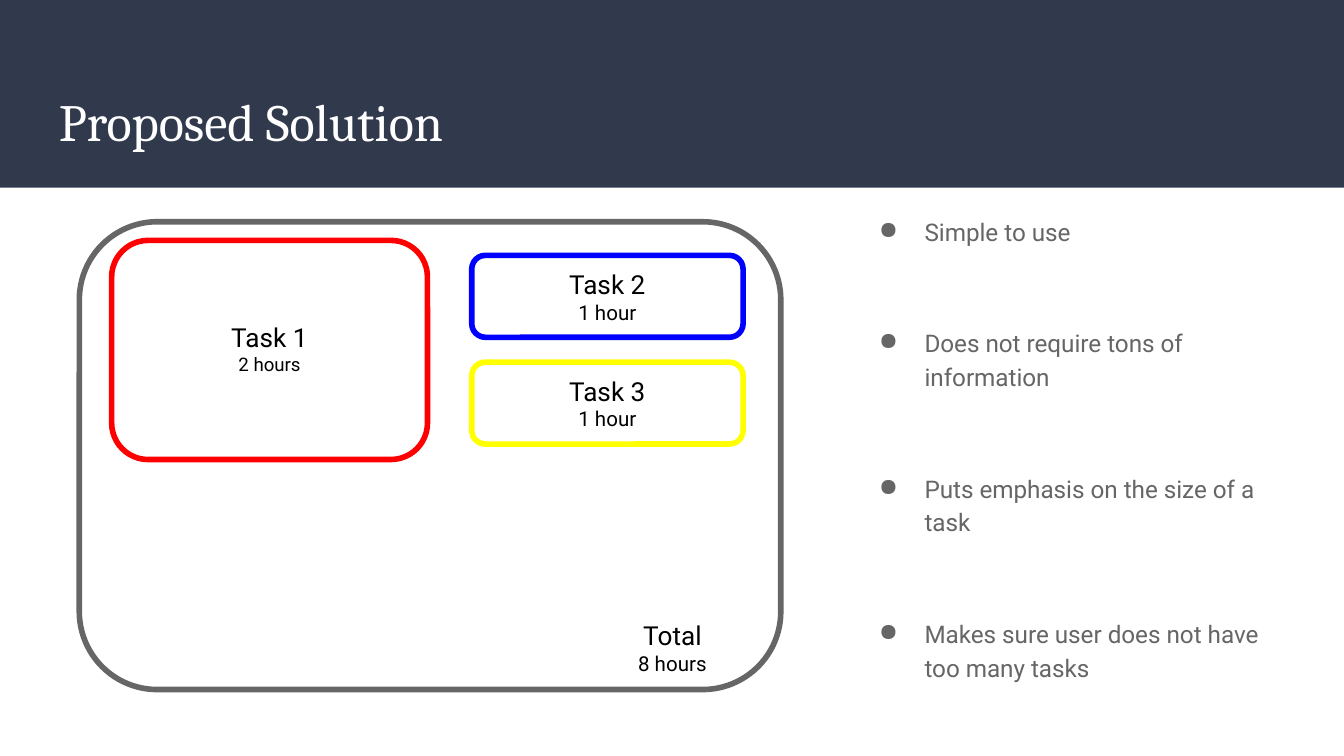
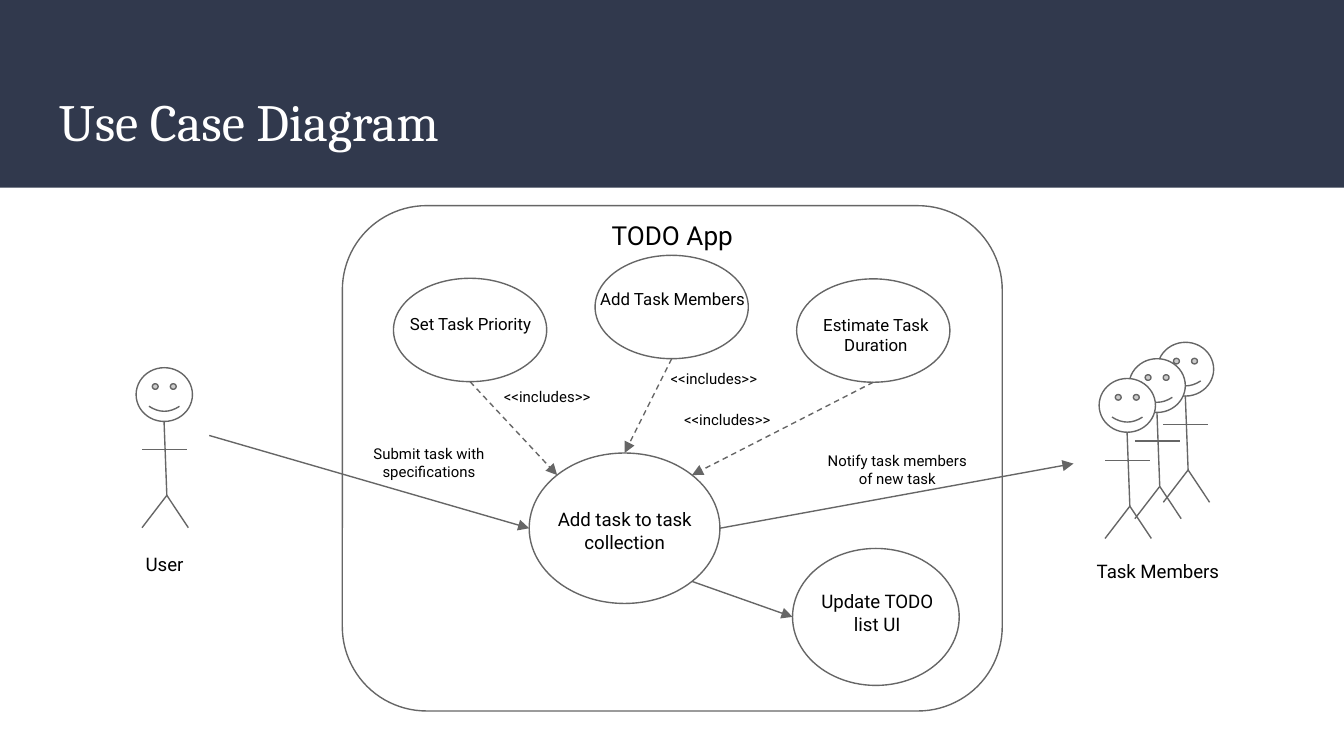
from math import cos, radians, sin

from lxml.etree import SubElement
from pptx import Presentation
from pptx.dml.color import RGBColor
from pptx.enum.dml import MSO_LINE
from pptx.enum.shapes import MSO_CONNECTOR, MSO_SHAPE
from pptx.enum.text import MSO_ANCHOR, PP_ALIGN
from pptx.oxml.ns import qn
from pptx.util import Pt

SLIDE_WIDTH, SLIDE_HEIGHT = 720, 405
NAVY, WHITE, BLACK, GREY = "31394D", "FFFFFF", "000000", "666666"
RED, BLUE, YELLOW = "FF0000", "0000FF", "FFFF00"
TITLE_FONT, BODY_FONT = "Cambria", "Roboto"
INSET = 7.2
FIGURE_LINE = 0.75


def rgb(value):
    return RGBColor.from_string(value)


def add_outline(slide, kind, left, top, width, height, fill=None, line=None, line_width=FIGURE_LINE):
    shape = slide.shapes.add_shape(kind, Pt(left), Pt(top), Pt(width), Pt(height))
    shape.shadow.inherit = False
    if fill:
        shape.fill.solid()
        shape.fill.fore_color.rgb = rgb(fill)
    else:
        shape.fill.background()
    if line:
        shape.line.color.rgb = rgb(line)
        shape.line.width = Pt(line_width)
    else:
        shape.line.fill.background()
    return shape


def add_text(slide, left, top, width, height, lines, color=BLACK, font=BODY_FONT,
             align=PP_ALIGN.CENTER, anchor=MSO_ANCHOR.TOP):
    shape = slide.shapes.add_textbox(Pt(left), Pt(top), Pt(width), Pt(height))
    text_frame = shape.text_frame
    text_frame.word_wrap = True
    text_frame.vertical_anchor = anchor
    text_frame.margin_left = text_frame.margin_right = Pt(INSET)
    text_frame.margin_top = text_frame.margin_bottom = Pt(INSET)
    text_frame.text = "\n".join(text for text, size in lines)
    for paragraph, (text, size) in zip(text_frame.paragraphs, lines):
        paragraph.alignment = align
        for run in paragraph.runs:
            run.font.name = font
            run.font.size = Pt(size)
            run.font.color.rgb = rgb(color)
    return text_frame


def add_line(slide, start, end, arrow=False, dashed=False):
    connector = slide.shapes.add_connector(
        MSO_CONNECTOR.STRAIGHT, *(Pt(value) for value in (*start, *end)))
    connector.line.color.rgb = rgb(GREY)
    connector.line.width = Pt(FIGURE_LINE)
    if dashed:
        connector.line.dash_style = MSO_LINE.DASH
    properties = connector.element.spPr
    if arrow:
        SubElement(properties.find(qn("a:ln")), qn("a:tailEnd"), type="triangle")
    SubElement(properties, qn("a:effectLst"))


def add_titled_slide(presentation, title):
    slide = presentation.slides.add_slide(presentation.slide_layouts[6])
    add_outline(slide, MSO_SHAPE.RECTANGLE, 0, 0, SLIDE_WIDTH, 100.5, NAVY)
    add_text(slide, 24.5, 39.6, 671, 49, [(title, 28)], WHITE, TITLE_FONT,
             PP_ALIGN.LEFT, MSO_ANCHOR.BOTTOM)
    return slide


def add_task(slide, left, top, width, height, name, duration, duration_size, color):
    add_outline(slide, MSO_SHAPE.ROUNDED_RECTANGLE, left, top, width, height, WHITE, color, 3)
    caption_width, caption_height = 80, 44.6
    add_text(slide, left + (width - caption_width) / 2, top + (height - caption_height) / 2,
             caption_width, caption_height, [(name, 14), (duration, duration_size)])


def add_task_board(slide, left, top, width, height):
    add_outline(slide, MSO_SHAPE.ROUNDED_RECTANGLE, left, top, width, height, WHITE, GREY, 3)
    add_task(slide, left + 17.3, top + 10, 169.2, 117.4, "Task 1", "2 hours", 10, RED)
    for row, (name, color) in enumerate([("Task 2", BLUE), ("Task 3", YELLOW)]):
        add_task(slide, left + 210.2, top + 18 + row * 57.2, 145.4, 43.9,
                 name, "1 hour", 11, color)
    add_text(slide, left + width - 98, top + height - 44.6, 80, 44.6,
             [("Total", 14), ("8 hours", 11)])


def add_benefits(slide, left, top, width, height, benefits):
    text_frame = add_text(slide, left, top, width, height, [(text, 13) for text in benefits],
                          GREY, align=PP_ALIGN.LEFT)
    for index, paragraph in enumerate(text_frame.paragraphs):
        paragraph.line_spacing = 1.15
        paragraph.space_before = Pt(42 if index else 0)
        properties = paragraph._p.get_or_add_pPr()
        properties.set("marL", str(Pt(36)))
        properties.set("indent", str(Pt(-24.5)))
        bullet_color = SubElement(properties, qn("a:buClr"))
        SubElement(bullet_color, qn("a:srgbClr"), val=GREY)
        SubElement(properties, qn("a:buChar"), char="●")


def add_stick_figure(slide, left, top):
    def place(x, y):
        return left + x, top + y

    add_outline(slide, MSO_SHAPE.SMILEY_FACE, left, top, 30.2, 28.8, WHITE, GREY)
    hip = place(16.5, 68.4)
    add_line(slide, place(15, 28.6), hip)
    for foot_x in (3.2, 28):
        add_line(slide, hip, place(foot_x, 85.7))
    add_line(slide, place(3.2, 44), place(27.2, 44))


def add_actor(slide, left, top, label, label_left, label_top, figures):
    for x, y in figures:
        add_stick_figure(slide, left + x, top + y)
    add_text(slide, left + label_left, top + label_top, 133.2, 28.8, [(label, 10)])


def ellipse_point(box, degrees):
    left, top, width, height = box
    angle = radians(degrees)
    return left + width / 2 * (1 + cos(angle)), top + height / 2 * (1 + sin(angle))


def add_use_cases(slide, left, top, width, height):
    def place(x, y):
        return left + x, top + y

    def add_label(text, x, y, label_width, size):
        add_text(slide, *place(x, y), label_width, 28.8, [(text, size)])

    def add_ellipse(box):
        add_outline(slide, MSO_SHAPE.OVAL, *box, line=GREY)

    add_outline(slide, MSO_SHAPE.ROUNDED_RECTANGLE, left, top, width, height, line=GREY)
    add_label("TODO App", (width - 133.2) / 2, 0, 133.2, 14)

    collection = (*place(100.1, 132.5), 102.2, 80.6)
    interface = (*place(241.2, 183.6), 89.3, 73.4)
    add_ellipse(collection)
    add_ellipse(interface)

    included = [
        ("Set Task Priority", 38.9, 2, 52.6, 133.2, 225),
        ("Add Task Members", 26.6, 110.2, 38.9, 133.2, 270),
        ("Estimate Task Duration", 39.2, 234.7, 51.1, 102.2, 315),
    ]
    for column, (text, y, label_x, label_y, label_width, angle) in enumerate(included):
        box = (*place(27.4 + column * 108, y), 82.1, 55.4)
        add_ellipse(box)
        add_label(text, label_x, label_y, label_width, 9)
        add_line(slide, ellipse_point(box, 90), ellipse_point(collection, angle), True, True)

    for x, y in [(43.2, 92.9), (132.5, 82.8), (139.7, 105.1)]:
        add_label("<<includes>>", x, y, 133.2, 8)
    add_label("Add task to task collection", 106.6, 154.8, 89.3, 10)
    add_label("Update TODO list UI", 241.9, 198.7, 89.3, 10)
    add_label("Submit task with specifications", -7.2, 121, 107.3, 8)
    add_label("Notify task members of new task", 252.7, 124.6, 89.3, 8)

    add_line(slide, place(-71.3, 123.1), ellipse_point(collection, 180), True)
    add_line(slide, ellipse_point(collection, 0), place(391.7, 138.2), True)
    add_line(slide, ellipse_point(collection, 45), ellipse_point(interface, 180), True)


def build_solution_slide(presentation):
    slide = add_titled_slide(presentation, "Proposed Solution")
    add_task_board(slide, 42.5, 118.8, 375.8, 250.6)
    add_benefits(slide, 452.2, 106.6, 243.4, 267.8, [
        "Simple to use",
        "Does not require tons of information",
        "Puts emphasis on the size of a task",
        "Makes sure user does not have too many tasks",
    ])


def build_use_case_slide(presentation):
    slide = add_titled_slide(presentation, "Use Case Diagram")
    add_actor(slide, 72.9, 197, "User", -51.3, 93.2, [(0, 0)])
    add_use_cases(slide, 183.4, 110.2, 353.5, 270.7)
    add_actor(slide, 588.8, 183.4, "Task Members", -35.1, 110.4,
              [(31.2, 0), (16, 8.8), (0, 19.4)])


def main():
    presentation = Presentation()
    presentation.slide_width = Pt(SLIDE_WIDTH)
    presentation.slide_height = Pt(SLIDE_HEIGHT)
    build_solution_slide(presentation)
    build_use_case_slide(presentation)
    presentation.save("out.pptx")


if __name__ == "__main__":
    main()
